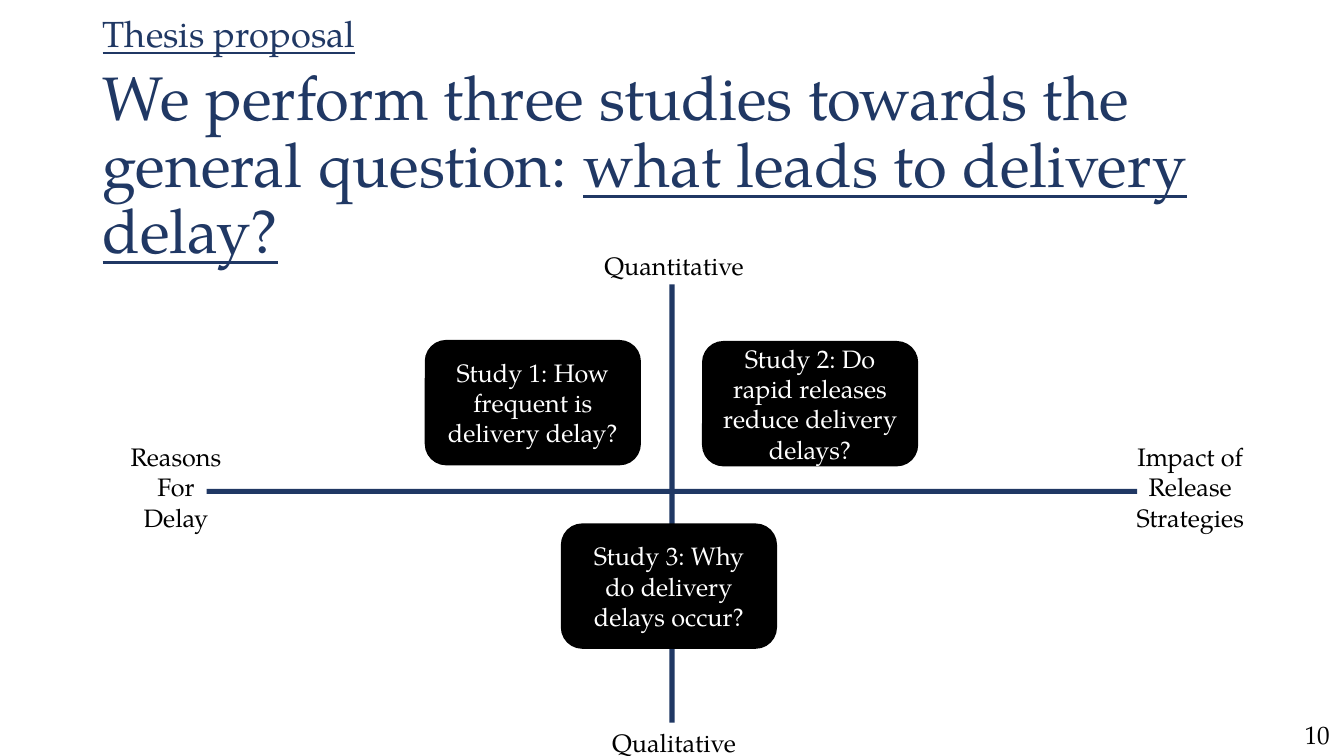
from pptx import Presentation
from pptx.dml.color import RGBColor
from pptx.enum.shapes import MSO_SHAPE
from pptx.enum.text import MSO_ANCHOR, PP_ALIGN
from pptx.util import Inches, Pt

RECT, ROUND = MSO_SHAPE.RECTANGLE, MSO_SHAPE.ROUNDED_RECTANGLE
TOP, MIDDLE = MSO_ANCHOR.TOP, MSO_ANCHOR.MIDDLE
LEFT, CENTER = PP_ALIGN.LEFT, PP_ALIGN.CENTER


class Theme:
    font = "TeX Gyre Pagella"
    navy = RGBColor(0x20, 0x38, 0x64)
    black = RGBColor(0, 0, 0)
    white = RGBColor(255, 255, 255)
    title, kicker, body = 44, 25.9, 18


class Deck:
    def __init__(self, theme):
        self.theme = theme
        self.prs = Presentation()
        self.prs.slide_width, self.prs.slide_height = Inches(13.33), Inches(7.5)
        self.slide = self.prs.slides.add_slide(self.prs.slide_layouts[6])

    def fill_text(self, frame, lines, size, color, align, anchor=TOP, space=None):
        """Each line is a list of (text, underlined) runs."""
        frame.word_wrap = True
        frame.vertical_anchor = anchor
        for i, runs in enumerate(lines):
            para = frame.add_paragraph() if i else frame.paragraphs[0]
            para.alignment = align
            if space:
                para.line_spacing = space
            font = para.font
            font.name, font.size, font.color.rgb = self.theme.font, Pt(size), color
            for text, under in runs:
                run = para.add_run()
                run.text = text
                if under:
                    run.font.underline = True

    def head(self, box, runs, size, space):
        shape = self.slide.shapes.add_textbox(*map(Inches, box))
        self.fill_text(shape.text_frame, [runs], size, self.theme.navy, LEFT,
                       space=space)

    def label(self, box, *lines, align=CENTER):
        shape = self.slide.shapes.add_textbox(*map(Inches, box))
        self.fill_text(shape.text_frame, [[(line, False)] for line in lines],
                       self.theme.body, self.theme.black, align)

    def block(self, kind, box, color):
        shape = self.slide.shapes.add_shape(kind, *map(Inches, box))
        shape.shadow.inherit = False
        shape.fill.solid()
        shape.fill.fore_color.rgb = color
        return shape

    def axis(self, box):
        self.block(RECT, box, self.theme.navy).line.fill.background()

    def card(self, left, top, text):
        shape = self.block(ROUND, (left, top, 2.13, 1.23), self.theme.black)
        shape.line.color.rgb = self.theme.black
        shape.line.width = Pt(1)
        self.fill_text(shape.text_frame, [[(text, False)]], self.theme.body,
                       self.theme.white, CENTER, MIDDLE)


def main():
    theme = Theme()
    deck = Deck(theme)

    # Headings
    deck.head((0.92, 0.62, 11.5, 2.7),
              [("We perform three studies towards the general question: ", False),
               ("what leads to delivery delay?", True)], theme.title, 0.9)
    deck.head((0.92, 0.18, 11.5, 0.44), [("Thesis proposal", True)],
              theme.kicker, 0.7)

    # Axes and their end labels
    deck.axis((6.64, 2.82, 0.05, 4.35))
    deck.axis((2.05, 4.85, 9.23, 0.05))
    deck.label((5.86, 2.43, 1.65, 0.4), "Quantitative")
    deck.label((5.86, 7.17, 1.65, 0.4), "Qualitative")
    deck.label((0.92, 4.33, 1.65, 1.01), "Reasons", "For", "Delay")
    deck.label((10.98, 4.33, 1.65, 1.01), "Impact of", "Release", "Strategies")

    # Studies
    deck.card(4.22, 3.38, "Study 1: How frequent is delivery delay?")
    deck.card(6.97, 3.39, "Study 2: Do rapid releases reduce delivery delays?")
    deck.card(5.57, 5.2, "Study 3: Why do delivery delays occur?")

    # Page number
    deck.label((12.84, 7.09, 0.5, 0.4), "10", align=LEFT)

    deck.prs.save("out.pptx")


if __name__ == "__main__":
    main()
